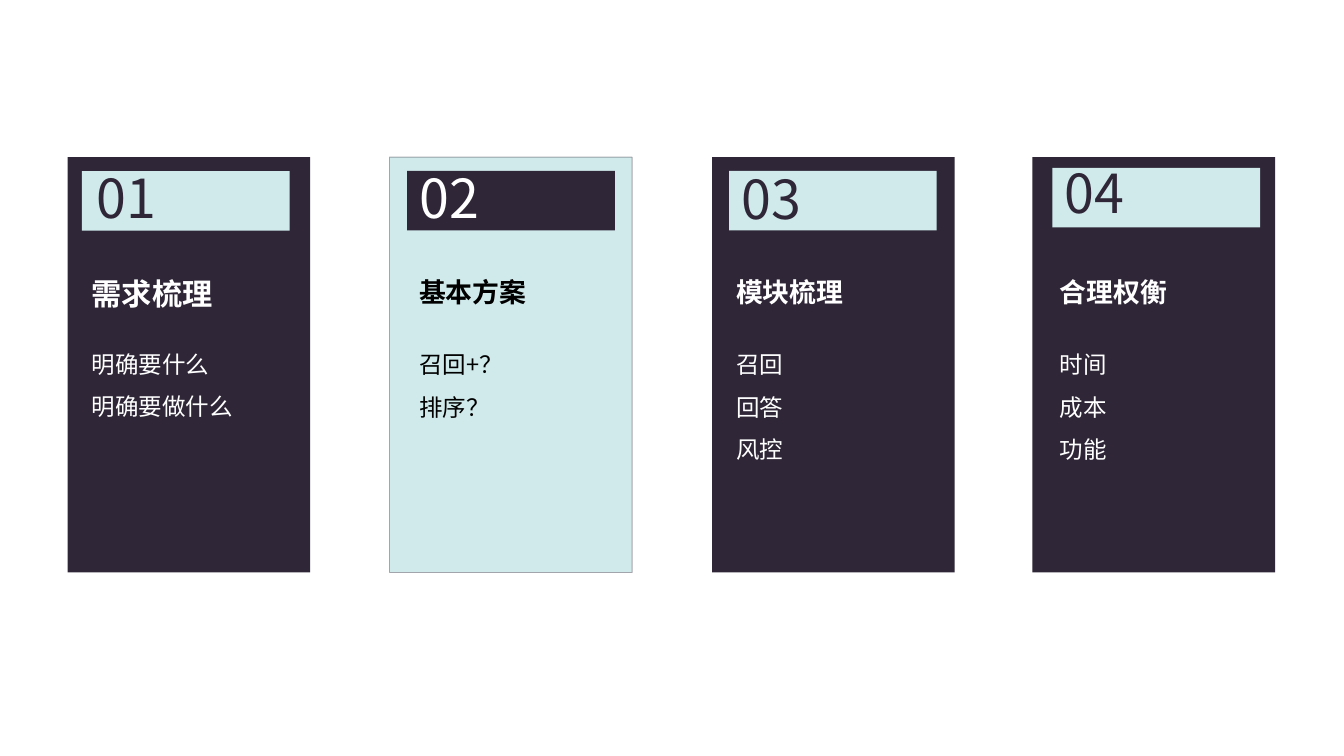
from lxml import etree
from pptx import Presentation
from pptx.dml.color import RGBColor
from pptx.enum.shapes import MSO_SHAPE
from pptx.oxml.ns import qn
from pptx.util import Pt

DARK = RGBColor(0x2F, 0x26, 0x37)
PALE = RGBColor(0xD0, 0xEA, 0xEB)
WHITE = RGBColor(0xFF, 0xFF, 0xFF)
BLACK = RGBColor(0x00, 0x00, 0x00)
FONT = "Noto Sans CJK SC"

CARD_TOP, CARD_WIDTH, CARD_HEIGHT = 93.6, 144.5, 247.4
BAND_WIDTH, BAND_HEIGHT = 123.7, 35.4
LIST_TOP = 160.6

# heading, heading size, gap below it, items,
# card left, band left and top, number left and top, list left
CARDS = [
    ("需求梳理", 18, 14.4, ["明确要什么", "明确要做什么"],
     40.3, 48.8, 102, 50.4, 94.6, 47.5),
    ("基本方案", 16, 17, ["召回+？", "排序？"],
     232, 242.5, 101.8, 242.6, 94.6, 242.6),
    ("模块梳理", 16, 17, ["召回", "回答", "风控"],
     424.1, 434.2, 101.8, 434.5, 95, 431.3),
    ("合理权衡", 16, 17, ["时间", "成本", "功能"],
     614.9, 626.8, 100, 627.1, 91.4, 624.2),
]


def add_panel(left, top, width, height, color):
    panel = page.shapes.add_shape(
        MSO_SHAPE.RECTANGLE, Pt(left), Pt(top), Pt(width), Pt(height))
    panel.shadow.inherit = False
    panel.fill.solid()
    panel.fill.fore_color.rgb = color
    panel.line.fill.background()
    return panel


def add_text(left, top, height, lines, color):
    """Add a text box; each line is a text, a size and a bold flag."""
    box = page.shapes.add_textbox(Pt(left), Pt(top), Pt(BAND_WIDTH), Pt(height))
    frame = box.text_frame
    frame.word_wrap = True
    frame.text = "\n".join(text for text, size, bold in lines)
    for para, (text, size, bold) in zip(frame.paragraphs, lines):
        span = para.runs[0]
        span.font.size = Pt(size)
        span.font.bold = bold
        span.font.name = FONT
        span.font.color.rgb = color
        etree.SubElement(span.font._element, qn("a:ea"), typeface=FONT)
    return frame


deck = Presentation()
deck.slide_width, deck.slide_height = Pt(800.38), Pt(450.25)
page = deck.slides.add_slide(deck.slide_layouts[6])

for index, (heading, heading_size, gap, items, card_left, band_left, band_top,
            number_left, number_top, list_left) in enumerate(CARDS):
    highlighted = index == 1
    card = add_panel(card_left, CARD_TOP, CARD_WIDTH, CARD_HEIGHT,
                     PALE if highlighted else DARK)
    if highlighted:
        card.line.color.rgb = DARK
        card.line.width = Pt(0.5)
        line_color = card.line._ln.find(".//" + qn("a:srgbClr"))
        etree.SubElement(line_color, qn("a:alpha"), val="39000")

    add_panel(band_left, band_top, BAND_WIDTH, BAND_HEIGHT,
              DARK if highlighted else PALE)
    add_text(number_left, number_top, 46, [(f"{index + 1:02}", 32, False)],
             WHITE if highlighted else DARK)

    lines = [(heading, heading_size, True)] + [(item, 14, False) for item in items]
    frame = add_text(list_left, LIST_TOP, 44 + 25 * len(items), lines,
                     BLACK if highlighted else WHITE)
    frame.paragraphs[0].space_after = Pt(gap)
    for para in frame.paragraphs[1:]:
        para.line_spacing = 1.5

deck.save("out.pptx")
